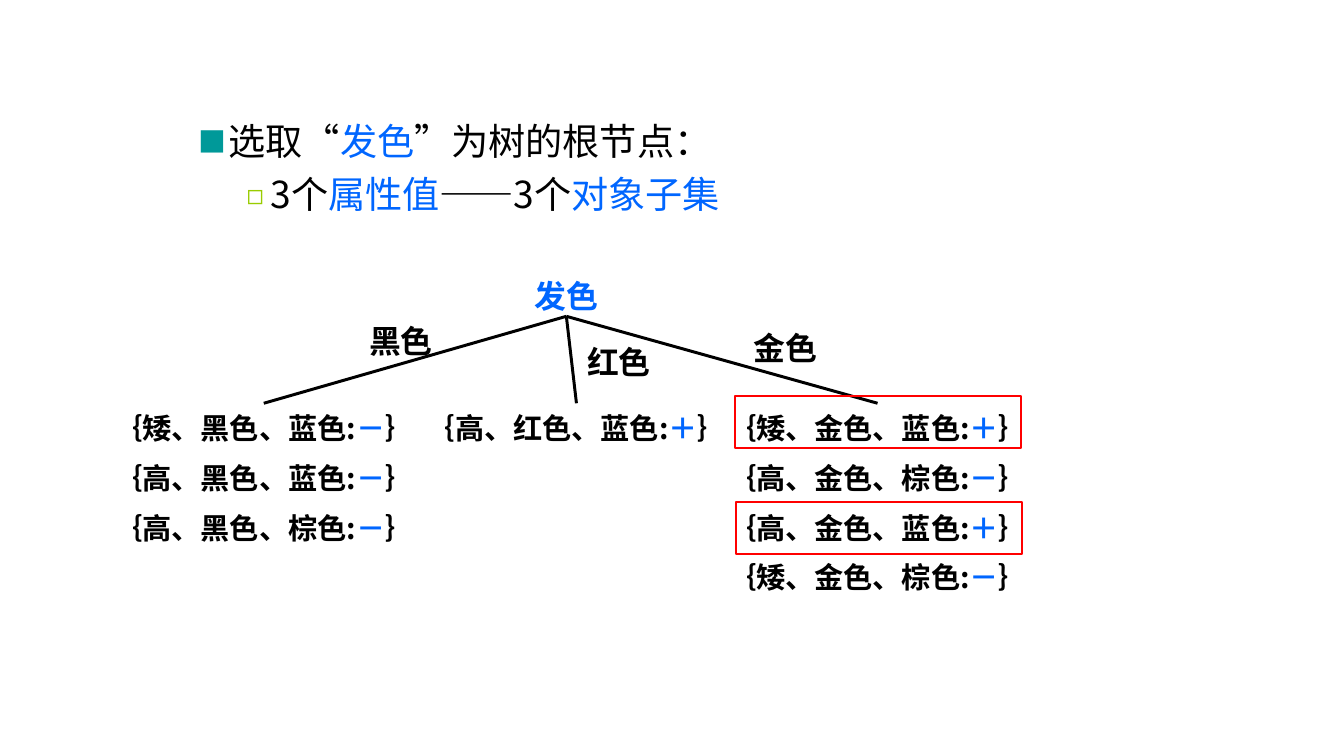
from lxml.etree import SubElement
from pptx import Presentation
from pptx.dml.color import RGBColor
from pptx.enum.shapes import MSO_CONNECTOR, MSO_SHAPE
from pptx.enum.text import MSO_ANCHOR, MSO_AUTO_SIZE, PP_ALIGN
from pptx.oxml.ns import qn
from pptx.util import Pt

COLORS = {"text": "000000", "accent": "0066FF", "frame": "FF0000",
          "square": "009999", "hollow": "99CC00"}
CJK = "Noto Sans CJK SC"
LATIN = "Arial"

OUTLINE = [
    {"runs": [("选取“", "text"), ("发色", "accent"), ("”为树的根节点：", "text")],
     "bullet": "■", "color": "square", "margin": 58.5, "indent": -22.5},
    {"runs": [("3个", "text"), ("属性值", "accent"), ("——3个", "text"), ("对象子集", "accent")],
     "bullet": "◻", "color": "hollow", "margin": 90, "indent": -18},
]
ROOT = ("发色", 367.2, 202.3)
BRANCHES = [
    {"value": "黑色", "label": (242.6, 236.2), "left": 69.8,
     "rows": [("矮、黑色、蓝色", "－"), ("高、黑色、蓝色", "－"), ("高、黑色、棕色", "－")]},
    {"value": "红色", "label": (406.8, 252.7), "left": 305.3,
     "rows": [("高、红色、蓝色", "＋")]},
    {"value": "金色", "label": (532.1, 241.9), "left": 532.1,
     "rows": [("矮、金色、蓝色", "＋"), ("高、金色、棕色", "－"),
              ("高、金色、蓝色", "＋"), ("矮、金色、棕色", "－")]},
]
FRAMES = [(553.7, 298.1), (554.4, 378)]
FRAME_SIZE = (215.3, 39.6)
LABEL_SIZE = (118.8, 36)
LEAF_TOP, LEAF_WIDTH = 303.8, 257.8
LEAF_LINE, LEAF_STEP = 33.8, 39.6
LINE_FACTOR = 1.29


def rgb(name):
    return RGBColor.from_string(COLORS[name])


def set_fonts(font, name):
    font.name = name
    SubElement(font._element, qn("a:ea"), typeface=CJK)


def fill_paragraph(para, runs, size, name, bold, gap):
    para.line_spacing = Pt(round(size * LINE_FACTOR, 1))
    para.space_before = Pt(gap)
    para.font.size = Pt(size)
    para.font.bold = bold
    set_fonts(para.font, name)
    for text, color in runs:
        span = para.add_run()
        span.text = text
        span.font.color.rgb = rgb(color)


def add_paragraphs(box, paragraphs, **style):
    frame = box.text_frame
    frame.word_wrap = True
    frame.auto_size = MSO_AUTO_SIZE.NONE
    frame.vertical_anchor = MSO_ANCHOR.TOP
    for index, runs in enumerate(paragraphs):
        para = frame.add_paragraph() if index else frame.paragraphs[0]
        fill_paragraph(para, runs, **style)
    return frame.paragraphs


def add_centred(page, left, top, width, height, paragraphs, size, name):
    box = page.shapes.add_textbox(Pt(left), Pt(top), Pt(width), Pt(height))
    for para in add_paragraphs(box, paragraphs, size=size, name=name, bold=True, gap=9):
        para.alignment = PP_ALIGN.CENTER
    return box


def add_bullet(para, item):
    props = para._p.get_or_add_pPr()
    props.set("marL", str(Pt(item["margin"])))
    props.set("indent", str(Pt(item["indent"])))
    defaults = props.find(qn("a:defRPr"))
    color = SubElement(props, qn("a:buClr"))
    SubElement(color, qn("a:srgbClr"), val=COLORS[item["color"]])
    SubElement(props, qn("a:buSzPct"), val="75000")
    SubElement(props, qn("a:buFont"), typeface=CJK)
    SubElement(props, qn("a:buChar"), char=item["bullet"])
    props.append(defaults)


def add_outline(page):
    page.shapes.title._element.getparent().remove(page.shapes.title._element)
    body = page.placeholders[1]
    body.left, body.top, body.width, body.height = Pt(106.6), Pt(82.8), Pt(648), Pt(399.6)
    paragraphs = add_paragraphs(body, [item["runs"] for item in OUTLINE],
                                size=28, name=CJK, bold=False, gap=4)
    for level, (para, item) in enumerate(zip(paragraphs, OUTLINE)):
        para.level = level
        add_bullet(para, item)


def add_edge(page, root, leaf):
    edge = page.shapes.add_connector(MSO_CONNECTOR.STRAIGHT, 0, 0, 0, 0)
    edge.begin_connect(root, 2)
    edge.end_connect(leaf, 0)
    edge.line.color.rgb = rgb("text")
    edge.line.width = Pt(2.25)
    SubElement(edge._element.spPr, qn("a:effectLst"))


def add_tree(page):
    name, left, top = ROOT
    root = add_centred(page, left, top, *LABEL_SIZE, [[(name, "accent")]], 24, LATIN)
    for branch in BRANCHES:
        add_centred(page, *branch["label"], *LABEL_SIZE, [[(branch["value"], "text")]], 24, LATIN)
        rows = [[("｛" + traits + ":", "text"), (sign, "accent"), ("｝", "text")]
                for traits, sign in branch["rows"]]
        height = LEAF_LINE + LEAF_STEP * (len(rows) - 1)
        leaf = add_centred(page, branch["left"], LEAF_TOP, LEAF_WIDTH, height, rows, 22, CJK)
        add_edge(page, root, leaf)


def add_frames(page):
    for left, top in FRAMES:
        frame = page.shapes.add_shape(MSO_SHAPE.RECTANGLE, Pt(left), Pt(top),
                                      *map(Pt, FRAME_SIZE))
        frame.shadow.inherit = False
        frame.fill.background()
        frame.line.color.rgb = rgb("frame")
        frame.line.width = Pt(1.5)


def main():
    deck = Presentation()
    deck.slide_width, deck.slide_height = Pt(1012.3), Pt(569.5)
    page = deck.slides.add_slide(deck.slide_layouts[1])
    add_outline(page)
    add_tree(page)
    add_frames(page)
    deck.save("out.pptx")


if __name__ == "__main__":
    main()
